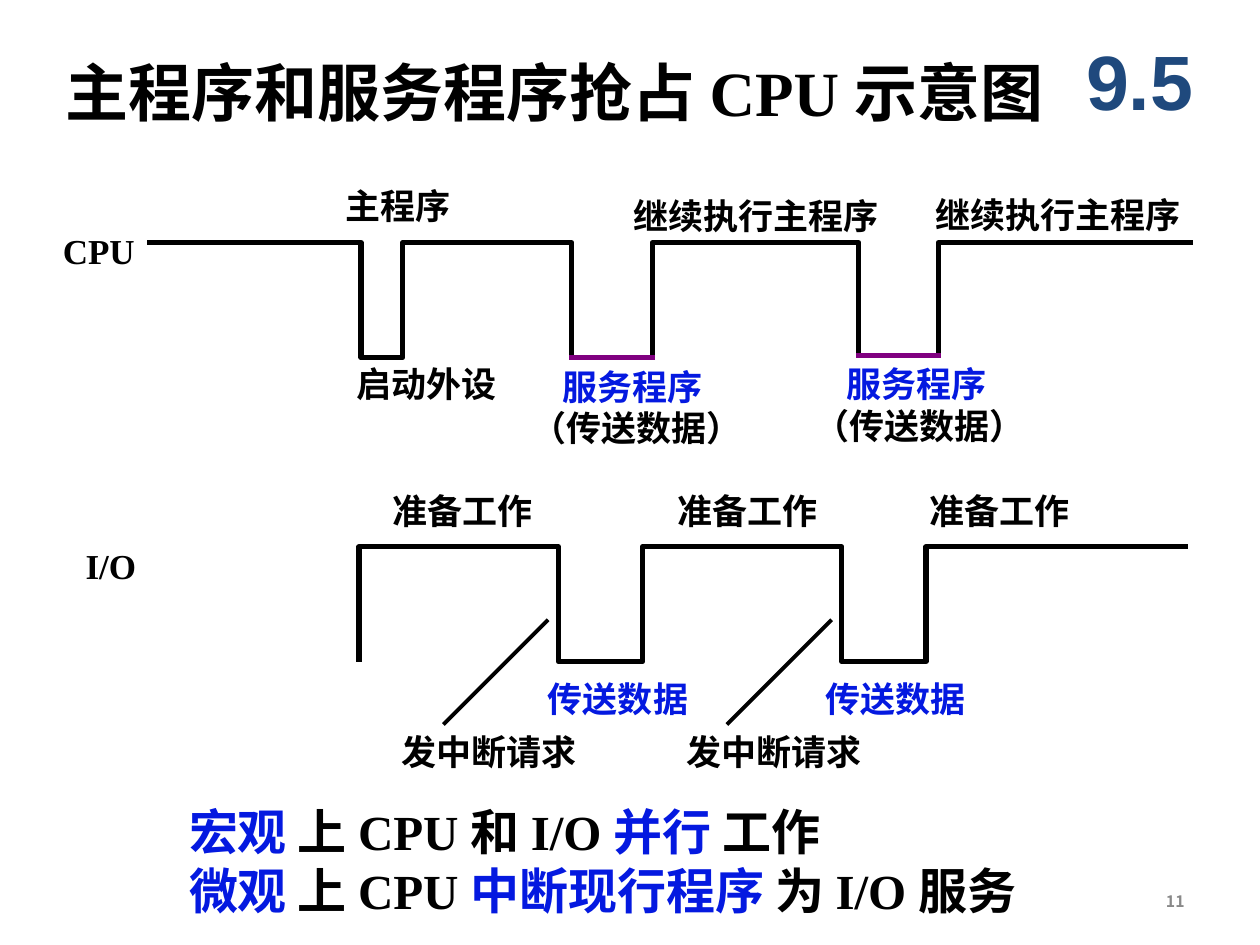
from pptx import Presentation
from pptx import util as u
from pptx.dml.color import RGBColor
from pptx.enum import shapes, text
from pptx.oxml.ns import qn
from lxml import etree

Pt = u.Pt
BLACK = RGBColor(0, 0, 0)
BLUE = RGBColor(0x04, 0x19, 0xE0)
PURPLE = RGBColor(0x80, 0, 0x80)
NAVY = RGBColor(0x1F, 0x49, 0x7D)
GREY = RGBColor(0x89, 0x89, 0x89)
SERIF = "Times New Roman"
HAN = "Noto Sans CJK SC"
LEADING = 1.19
TOP, MIDDLE = text.MSO_ANCHOR.TOP, text.MSO_ANCHOR.MIDDLE


def set_attrs(obj, **fmt):
    for name, value in fmt.items():
        setattr(obj, name, value)


def place(sp, x, y, w, h):
    set_attrs(sp, left=Pt(x), top=Pt(y), width=Pt(w), height=Pt(h))


def write(p, runs, size, font=SERIF):
    if not all(words.isascii() for words, _ in runs):
        p.line_spacing = Pt(size * LEADING)
    for words, color in runs:
        r = p.add_run()
        r.text = words
        set_attrs(r.font, size=Pt(size), name=font, bold=True)
        r.font.color.rgb = color
        etree.SubElement(r._r.get_or_add_rPr(), qn("a:ea"), typeface=HAN)


def label(s, x, y, w, lines, size=20, font=SERIF, h=31, anchor=TOP, wrap=False,
          align=text.PP_ALIGN.LEFT):
    sp = s.shapes.add_textbox(Pt(x), Pt(y), Pt(w), Pt(h))
    tf = sp.text_frame
    set_attrs(tf, word_wrap=wrap, vertical_anchor=anchor)
    for i, runs in enumerate(lines):
        p = tf.add_paragraph() if i else tf.paragraphs[0]
        p.alignment = align
        write(p, runs, size, font)
    return tf


def line(s, x1, y1, x2, y2, color, width):
    c = s.shapes.add_connector(shapes.MSO_CONNECTOR.STRAIGHT, Pt(x1), Pt(y1), Pt(x2), Pt(y2))
    c.line.color.rgb = color
    c.line.width = Pt(width)
    etree.SubElement(c._element.spPr, qn("a:effectLst"))


def wave(s, x, y, xs, levels):
    points = []
    for left, right, level in zip(xs, xs[1:], levels):
        points += [(Pt(x + left), Pt(y + level)), (Pt(x + right), Pt(y + level))]
    fb = s.shapes.build_freeform(*points[0], scale=1.0)
    fb.add_line_segments(points[1:], close=False)
    sp = fb.convert_to_shape()
    sp.fill.background()
    sp.line.color.rgb = BLACK
    sp.line.width = Pt(3)
    sp.shadow.inherit = False


def title(s, x, y, w, h):
    sp = s.shapes.title
    place(sp, x, y, w, h)
    tf = sp.text_frame
    set_attrs(tf, vertical_anchor=TOP, word_wrap=True, auto_size=text.MSO_AUTO_SIZE.NONE)
    p = tf.paragraphs[0]
    p.alignment = text.PP_ALIGN.LEFT
    write(p, [("主程序和服务程序抢占 CPU 示意图", BLACK)], 36)


def cpu_timeline(s, x, y):
    high, low, low2 = 36.7, 102.4, 101
    xs = [55.4, 177.6, 201.4, 297.9, 344, 462, 507.4, 653]
    wave(s, x, y, xs, [high, low, high, low, high, low2, high])
    for dx, dy, w, words in [(0, 25.4, 62, "CPU"), (161.8, 0.2, 78, "主程序"),
                             (326, 6, 158, "继续执行主程序"),
                             (498.8, 5.3, 158, "继续执行主程序"),
                             (167.6, 101.8, 98, "启动外设")]:
        label(s, x + dx, y + dy, w, [[(words, BLACK)]])
    for dx, start, end, level in [(267.6, xs[3], xs[4], low), (429.6, xs[5], xs[6], low2)]:
        line(s, x + start - 1.4, y + level, x + end + 1.4, y + level, PURPLE, 3)
        tf = label(s, x + dx, y + level + 1, 137,
                   [[("服务程序", BLUE)], [("（传送数据）", BLACK)]], h=55)
        tf.paragraphs[0]._p.get_or_add_pPr().set("marL", str(Pt(18)))


def io_timeline(s, x, y):
    high, low = 36.7, 102.2
    xs = [163.4, 163.4, 277.2, 325.4, 439.2, 487.4, 637.2]
    wave(s, x, y, xs, [low, high] * 3)
    label(s, x, y + 31.7, 52, [[("I/O", BLACK)]])
    for dx in (175.6, 338.4, 482.4):
        label(s, x + dx, y + 0.4, 98, [[("准备工作", BLACK)]])
    for data, request, tick in [(264.2, 180.7, 211.6), (422.6, 343.4, 373.6)]:
        label(s, x + data, y + 108.3, 98, [[("传送数据", BLUE)]])
        label(s, x + request, y + 138.2, 118, [[("发中断请求", BLACK)]])
        line(s, x + tick, y + 138.2, x + tick + 59.8, y + 78.4, BLACK, 2.25)


def summary(s, x, y, w, h):
    sp = s.placeholders[1]
    place(sp, x, y, w, h)
    tf = sp.text_frame
    set_attrs(tf, vertical_anchor=TOP, word_wrap=True, auto_size=text.MSO_AUTO_SIZE.NONE)
    lines = [
        [("宏观 ", BLUE), ("上 CPU 和 I/O ", BLACK), ("并行 ", BLUE), ("工作", BLACK)],
        [("微观 ", BLUE), ("上 CPU ", BLACK), ("中断现行程序 ", BLUE), ("为 I/O 服务", BLACK)],
    ]
    for i, runs in enumerate(lines):
        p = tf.add_paragraph() if i else tf.paragraphs[0]
        pPr = p._p.get_or_add_pPr()
        pPr.set("marL", "0")
        pPr.set("indent", "0")
        etree.SubElement(pPr, qn("a:buNone"))
        p.space_before = Pt(0)
        write(p, runs, 28)


def main():
    prs = Presentation()
    set_attrs(prs, slide_width=Pt(720), slide_height=Pt(540))
    s = prs.slides.add_slide(prs.slide_layouts[1])
    title(s, 30.2, 27.4, 585.4, 50.4)
    cpu_timeline(s, 28.8, 102)
    io_timeline(s, 41.8, 275.8)
    summary(s, 100.8, 455, 577.4, 74.2)
    label(s, 606.2, 12.2, 90, [[("9.5", NAVY)]], 44, "Arial", 66.2, MIDDLE, True,
          text.PP_ALIGN.CENTER)
    label(s, 516.2, 500.4, 167.8, [[("11", GREY)]], 9, HAN, 28.8, MIDDLE,
          True, text.PP_ALIGN.RIGHT)
    prs.save("out.pptx")


if __name__ == "__main__":
    main()
